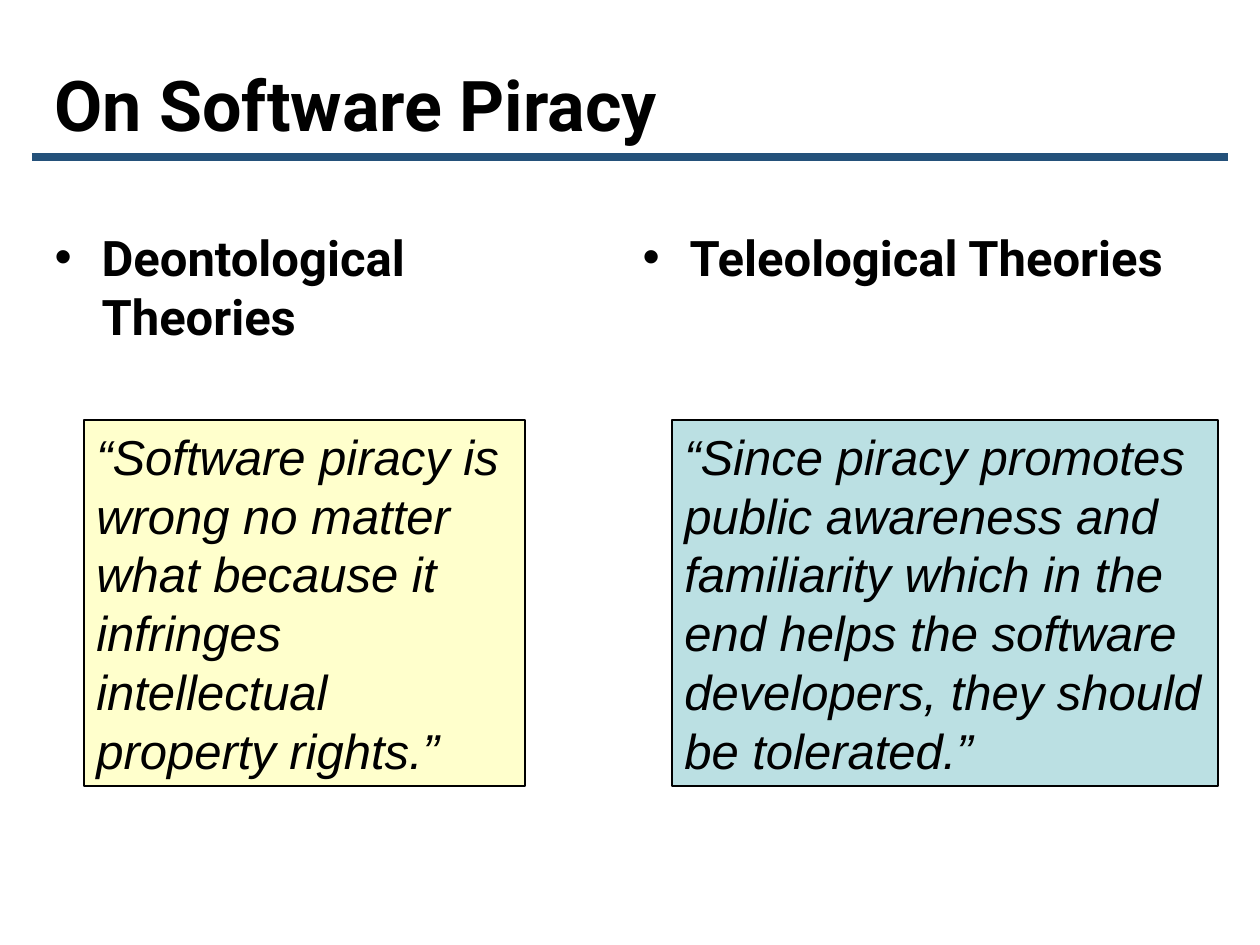
from lxml.etree import SubElement
from pptx import Presentation
from pptx.dml.color import RGBColor
from pptx.enum.shapes import MSO_CONNECTOR, MSO_SHAPE
from pptx.enum.text import MSO_ANCHOR, PP_ALIGN
from pptx.oxml.ns import qn
from pptx.util import Pt

PX = 914400 // 126
BLACK = RGBColor(0x00, 0x00, 0x00)
RULE_BLUE = RGBColor(0x24, 0x51, 0x7A)
PALE_YELLOW = RGBColor(0xFF, 0xFF, 0xCC)
PALE_TEAL = RGBColor(0xBB, 0xE0, 0xE3)

TITLE = "On Software Piracy"
# heading, quote, left edge, quote width, quote colour
THEORIES = [
    ("Deontological Theories",
     "“Software piracy is wrong no matter what because it infringes "
     "intellectual property rights.”",
     42, 441, PALE_YELLOW),
    ("Teleological Theories",
     "“Since piracy promotes public awareness and familiarity which in the "
     "end helps the software developers, they should be tolerated.”",
     630, 546, PALE_TEAL),
]
HEADING_TOP, HEADING_WIDTH, HEADING_HEIGHT = 221, 567, 662
QUOTE_TOP, QUOTE_HEIGHT, QUOTE_INDENT = 420, 366, 42
BULLET_INDENT = 47


def px(*lengths):
    return [length * PX for length in lengths]


def place(shape, *box):
    shape.left, shape.top, shape.width, shape.height = px(*box)


def write(shape, text, font_name, size, anchor, bold=False, italic=False):
    frame = shape.text_frame
    frame.text = text
    frame.word_wrap = True
    frame.vertical_anchor = anchor
    paragraph = frame.paragraphs[0]
    paragraph.alignment = PP_ALIGN.LEFT
    paragraph.space_before = Pt(0)
    font = paragraph.runs[0].font
    font.name, font.size = font_name, Pt(size)
    font.bold, font.italic = bold, italic
    font.color.rgb = BLACK
    return paragraph


def add_bullet(paragraph):
    properties = paragraph._p.get_or_add_pPr()
    properties.set("marL", str(BULLET_INDENT * PX))
    properties.set("indent", str(-BULLET_INDENT * PX))
    SubElement(properties, qn("a:buFont"), typeface="Arial")
    SubElement(properties, qn("a:buChar"), char="•")


def add_rule(slide):
    rule = slide.shapes.add_connector(
        MSO_CONNECTOR.STRAIGHT, *px(32, 157, 1228, 157))
    rule.line.color.rgb = RULE_BLUE
    rule.line.width = Pt(4.5)
    SubElement(rule._element.spPr, qn("a:effectLst"))


def add_quote(slide, quote, left, width, colour):
    box = slide.shapes.add_shape(
        MSO_SHAPE.RECTANGLE, *px(left, QUOTE_TOP, width, QUOTE_HEIGHT))
    box.shadow.inherit = False
    box.fill.solid()
    box.fill.fore_color.rgb = colour
    box.line.color.rgb = BLACK
    box.line.width = Pt(1)
    write(box, quote, "Arial", 28, MSO_ANCHOR.TOP, italic=True)


def main():
    deck = Presentation()
    deck.slide_width, deck.slide_height = px(1260, 945)
    slide = deck.slides.add_slide(deck.slide_layouts.get_by_name("Two Content"))
    title, *headings = slide.placeholders

    add_rule(slide)
    place(title, 42, 38, 1155, 130)
    write(title, TITLE, "Roboto", 40, MSO_ANCHOR.MIDDLE, bold=True)

    for placeholder, theory in zip(headings, THEORIES):
        heading, quote, left, quote_width, colour = theory
        place(placeholder, left, HEADING_TOP, HEADING_WIDTH, HEADING_HEIGHT)
        add_bullet(write(placeholder, heading, "Roboto", 28,
                         MSO_ANCHOR.TOP, bold=True))
        add_quote(slide, quote, left + QUOTE_INDENT, quote_width, colour)

    deck.save("out.pptx")


if __name__ == "__main__":
    main()
